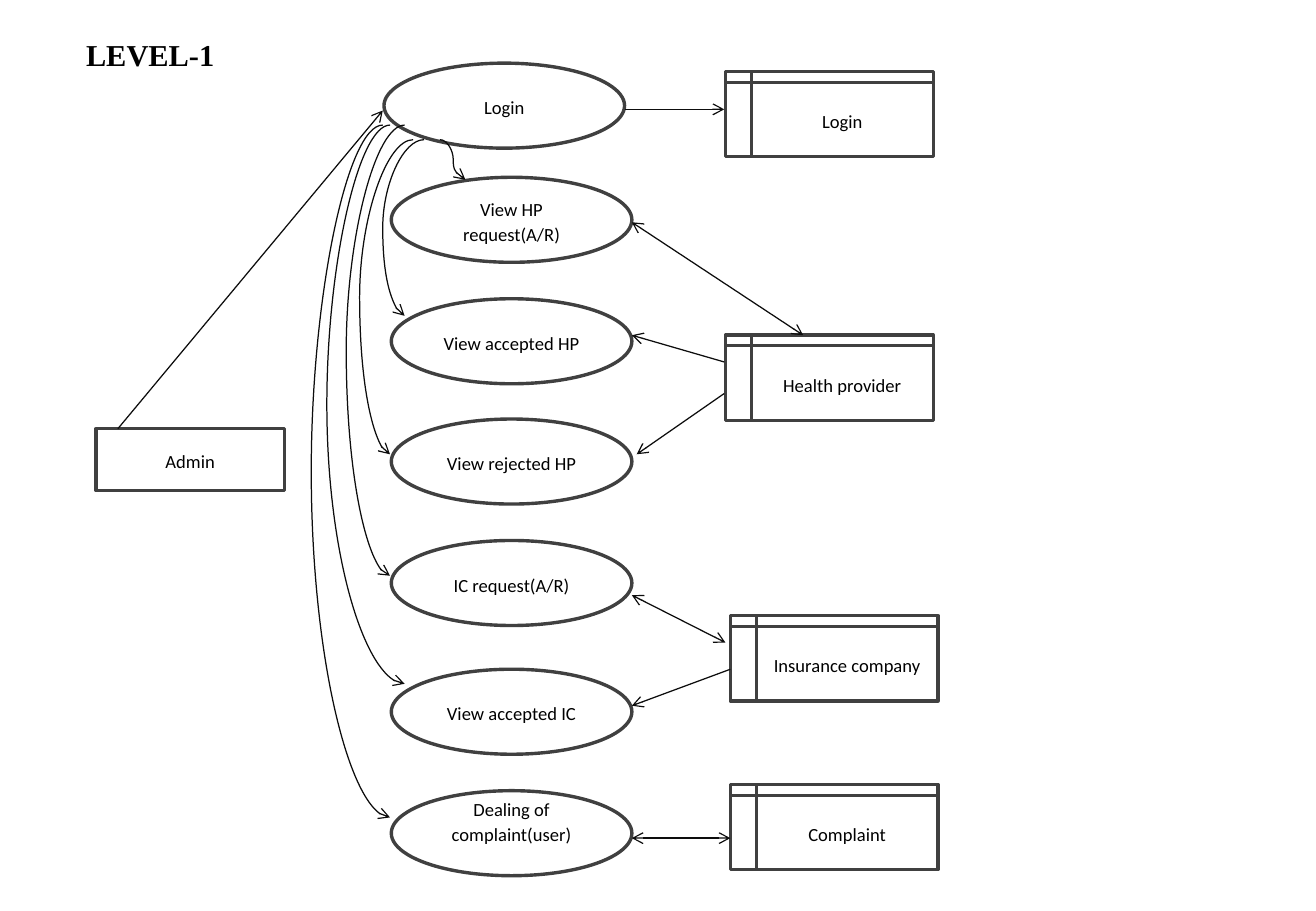
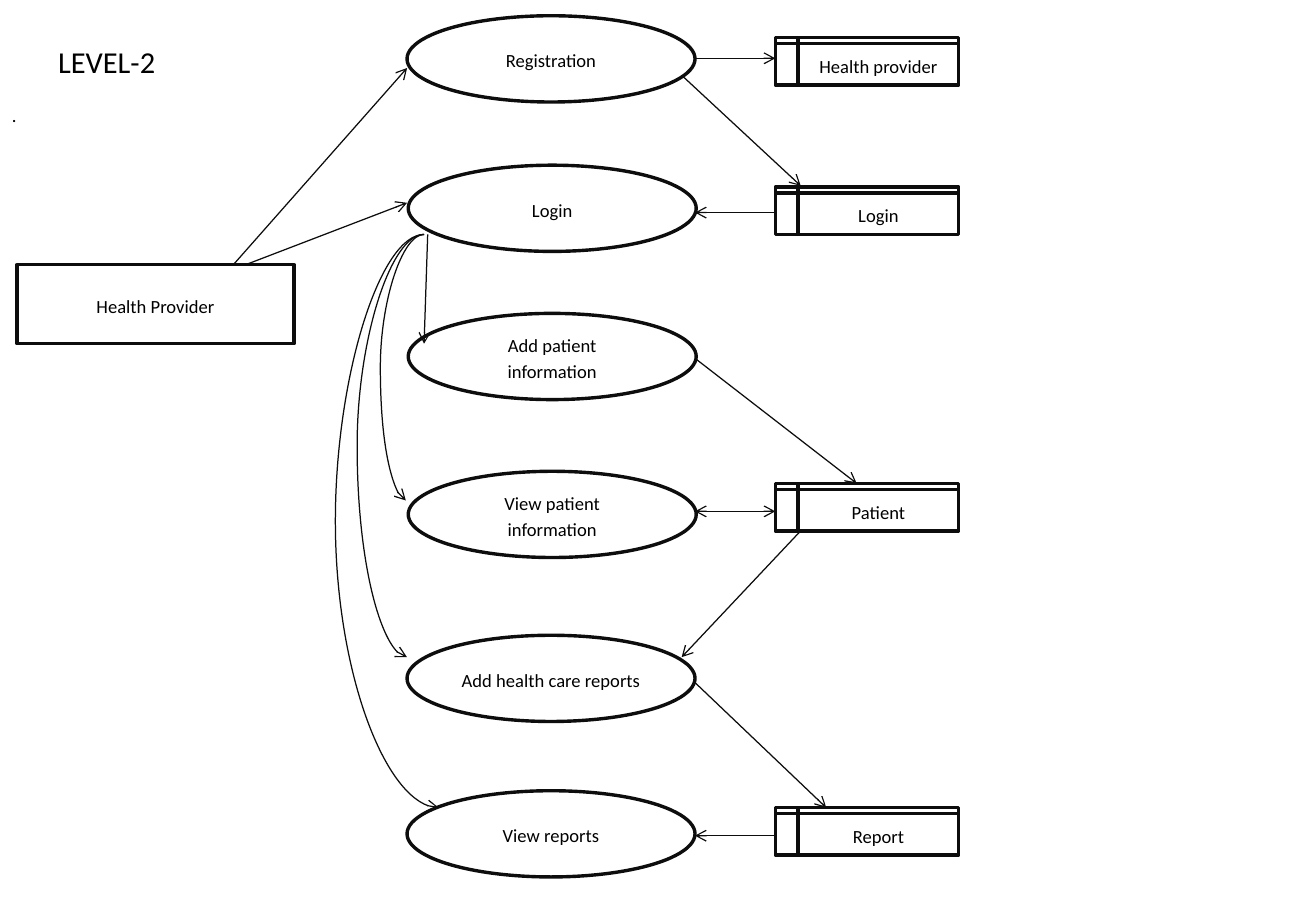
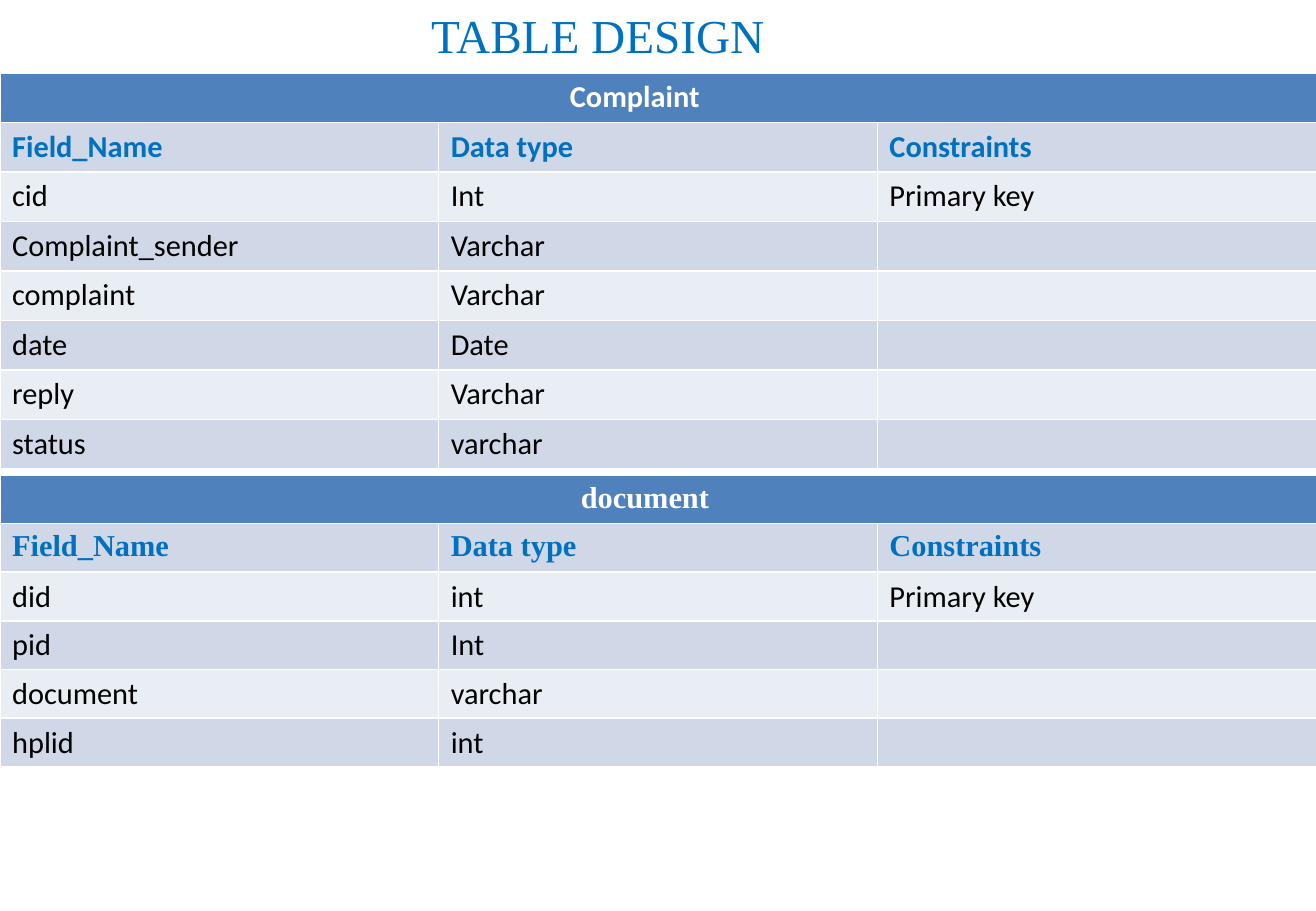
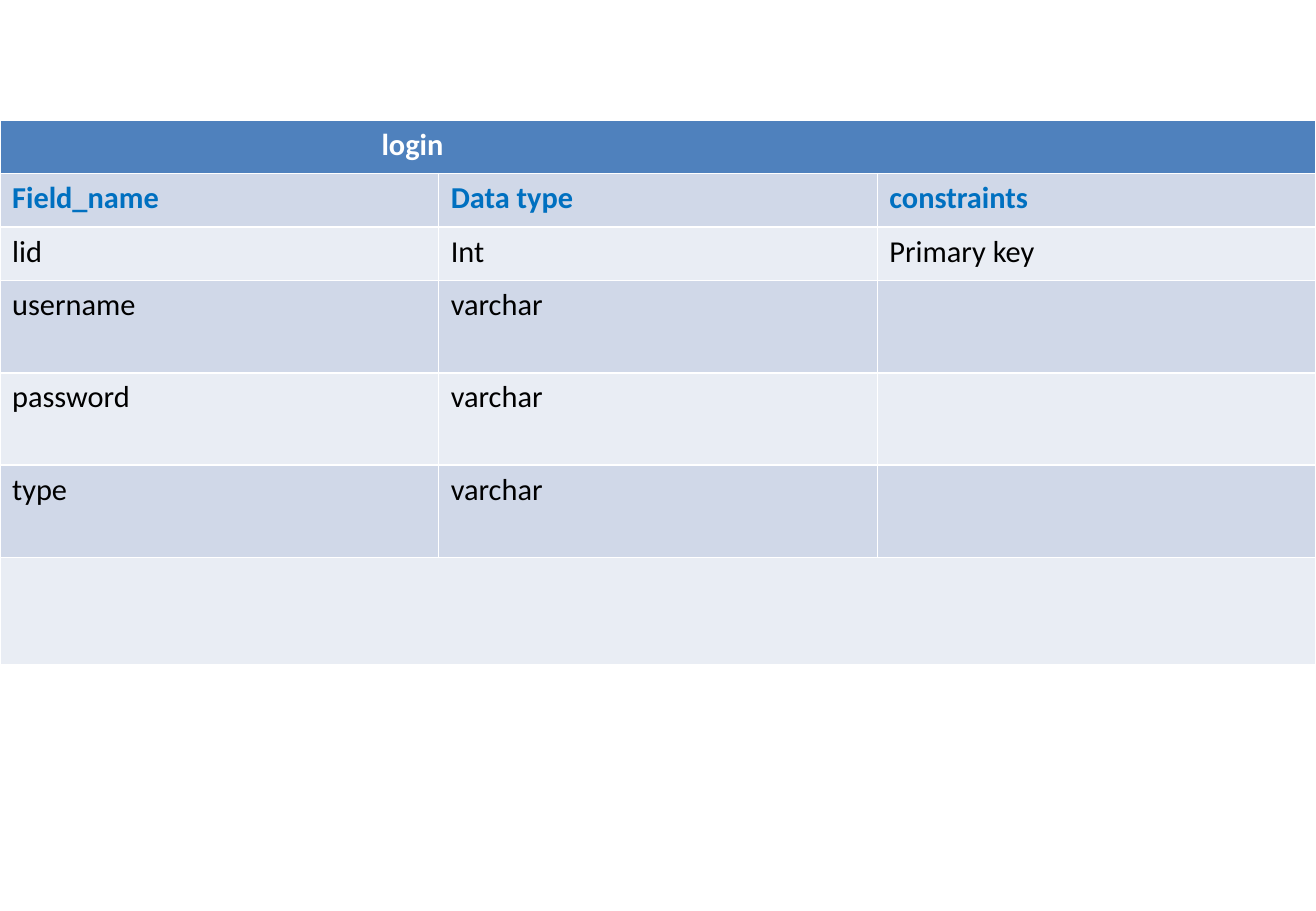
from lxml import etree
from pptx import Presentation
from pptx.dml.color import RGBColor
from pptx.enum.shapes import MSO_CONNECTOR, MSO_SHAPE
from pptx.enum.text import MSO_ANCHOR, PP_ALIGN
from pptx.oxml.ns import qn
from pptx.util import Emu, Pt

EMU_PER_PX = 9144
SLIDE_WIDTH, SLIDE_HEIGHT = 1083, 750
SLIDE_BOX = (0, 0, SLIDE_WIDTH, SLIDE_HEIGHT)

COLORS = {
    "white": "FFFFFF",
    "black": "000000",
    "ink": "0D0D0D",
    "gray": "404040",
    "blue": "0070C0",
    "header": "4F81BD",
    "band_dark": "D0D8E8",
    "band_light": "E9EDF4",
}
SANS, SERIF = "Calibri", "Times New Roman"

ENTITY = MSO_SHAPE.RECTANGLE
PROCESS = MSO_SHAPE.OVAL
STORE = MSO_SHAPE.FLOWCHART_INTERNAL_STORAGE
STRAIGHT, CURVE = MSO_CONNECTOR.STRAIGHT, MSO_CONNECTOR.CURVE
MIDDLE, TOP = MSO_ANCHOR.MIDDLE, MSO_ANCHOR.TOP
CENTER = PP_ALIGN.CENTER


def px(length):
    return Emu(round(length * EMU_PER_PX))


def rgb(name):
    return RGBColor.from_string(COLORS[name])


def style_font(paragraph, size, color="black", name=SANS, bold=False):
    font = paragraph.font
    font.size, font.name, font.bold = Pt(size), name, bold
    font.color.rgb = rgb(color)


def add_label(slide, box, text, size=18, color="black", name=SANS, bold=False, anchor=TOP):
    frame = slide.shapes.add_textbox(*map(px, box)).text_frame
    frame.word_wrap = True
    frame.vertical_anchor = anchor
    frame.text = text
    style_font(frame.paragraphs[0], size, color, name, bold)


def add_node(slide, kind, box, text, color, bottom_inset=5):
    shape = slide.shapes.add_shape(kind, *map(px, box))
    shape.shadow.inherit = False
    shape.fill.solid()
    shape.fill.fore_color.rgb = rgb("white")
    shape.line.color.rgb = rgb(color)
    shape.line.width = Pt(2)
    frame = shape.text_frame
    frame.word_wrap = True
    frame.vertical_anchor = MIDDLE
    frame.margin_bottom = px(bottom_inset)
    frame.text = text
    paragraph = frame.paragraphs[0]
    paragraph.alignment = CENTER
    paragraph.line_spacing = 1.15
    paragraph.space_after = Pt(10)
    style_font(paragraph, 11)


def add_arrow(slide, start, end, both=False, bend=None):
    """Draw an arrow; bend is the x that a curved one swings out to."""
    kind = STRAIGHT if bend is None else CURVE
    connector = slide.shapes.add_connector(kind, *map(px, start + end))
    connector.line.color.rgb = rgb("ink")
    connector.line.width = Pt(0.75)
    properties = connector._element.spPr
    line = properties.find(qn("a:ln"))
    for tag in ("a:headEnd", "a:tailEnd") if both else ("a:tailEnd",):
        etree.SubElement(line, qn(tag), type="arrow")
    etree.SubElement(properties, qn("a:effectLst"))
    if bend is not None:
        share = round((bend - start[0]) / (end[0] - start[0]) * 100000)
        geometry = properties.find(qn("a:prstGeom"))
        adjustments = geometry.find(qn("a:avLst"))
        if adjustments is None:
            adjustments = etree.SubElement(geometry, qn("a:avLst"))
        etree.SubElement(adjustments, qn("a:gd"), name="adj1", fmla=f"val {share}")


def add_flow_diagram(slide, box, color, nodes, arrows, two_way, curves):
    """Place nodes, arrows and curves, all measured from the corner of box."""
    left, top = box[:2]

    def moved(point):
        return left + point[0], top + point[1]

    for kind, size, items in nodes:
        for x, y, text, *inset in items:
            add_node(slide, kind, moved((x, y)) + size, text, color, *inset)
    for start, end in arrows:
        add_arrow(slide, moved(start), moved(end))
    for start, end in two_way:
        add_arrow(slide, moved(start), moved(end), both=True)
    for start, end, bend in curves:
        add_arrow(slide, moved(start), moved(end), bend=left + bend)


def add_field_table(slide, box, title, title_inset, rows, heights=None, heading_font=SANS):
    """Add a titled table of fields; rows share the box height unless heights are given."""
    left, top, width, height = box
    count, columns = len(rows) + 1, len(rows[0])
    table = slide.shapes.add_table(count, columns, *map(px, box)).table
    for row, row_height in zip(table.rows, heights or [height / count] * count):
        row.height = px(row_height)
    for index, values in enumerate([(title,) + ("",) * (columns - 1)] + rows):
        fill = "header" if index == 0 else "band_dark" if index % 2 else "band_light"
        text_color = {0: "white", 1: "blue"}.get(index, "black")
        heading = index < 2
        for column, value in enumerate(values):
            cell = table.cell(index, column)
            cell.fill.solid()
            cell.fill.fore_color.rgb = rgb(fill)
            cell.text = value
            style_font(cell.text_frame.paragraphs[0], 18, text_color,
                       heading_font if heading else SANS, heading)
        if index == 0 or not any(values):
            table.cell(index, 0).merge(table.cell(index, columns - 1))
    table.cell(0, 0).margin_left = px(title_inset)


def build_level_1(slide):
    nodes = [
        (ENTITY, (155, 51), [(79, 353, "Admin")]),
        (PROCESS, (198, 70), [
            (316, 52, "Login"),
            (322, 146, "View HP request(A/R)"),
            (322, 246, "View accepted HP"),
            (322, 345, "View rejected HP"),
            (322, 445, "IC request(A/R)"),
            (322, 551, "View accepted IC"),
            (322, 651, "Dealing of complaint(user)", 27),
        ]),
        (STORE, (171, 70), [
            (597, 59, "Login"),
            (597, 276, "Health provider"),
            (601, 507, "Insurance company"),
            (601, 646, "Complaint"),
        ]),
    ]
    arrows = [
        ((514, 90), (596, 90)),
        ((596, 298), (520, 276)),
        ((596, 324), (524, 374)),
        ((601, 551), (520, 581)),
        ((97, 353), (315, 91)),
    ]
    two_way = [
        ((520, 183), (661, 276)),
        ((597, 529), (520, 490)),
        ((601, 690), (520, 690)),
    ]
    curves = [
        ((362, 115), (383, 148), 373),
        ((349, 115), (333, 260), 315),
        ((340, 115), (321, 374), 296),
        ((333, 103), (321, 474), 285),
        ((321, 103), (333, 563), 269),
        ((315, 103), (321, 673), 256),
    ]
    add_flow_diagram(slide, SLIDE_BOX, "gray", nodes, arrows, two_way, curves)
    add_label(slide, (61, 25, 173, 40), "LEVEL-1", name=SERIF, bold=True)


def build_level_2(slide):
    nodes = [
        (ENTITY, (228, 65), [(14, 218, "Health Provider")]),
        (PROCESS, (237, 71), [
            (335, 13, "Registration"),
            (336, 136, "Login"),
            (336, 258, "Add patient information"),
            (336, 388, "View patient information"),
            (335, 523, "Add health care reports"),
            (335, 651, "View reports"),
        ]),
        (STORE, (151, 39), [
            (638, 31, "Health provider"),
            (638, 154, "Login"),
            (638, 398, "Patient"),
            (638, 665, "Report"),
        ]),
    ]
    arrows = [
        ((572, 48), (638, 48)),
        ((561, 62), (659, 153)),
        ((638, 175), (572, 175)),
        ((572, 295), (705, 398)),
        ((659, 437), (561, 541)),
        ((572, 562), (680, 665)),
        ((638, 688), (572, 688)),
        ((192, 218), (335, 56)),
        ((202, 218), (335, 167)),
        ((352, 193), (349, 283)),
    ]
    two_way = [((572, 421), (638, 421))]
    login = (349, 193)
    curves = [
        (login, (334, 412), 313),
        (login, (335, 541), 294),
        (login, (361, 665), 276),
    ]
    add_flow_diagram(slide, SLIDE_BOX, "ink", nodes, arrows, two_way, curves)
    add_label(slide, (0, 75, SLIDE_WIDTH, 40), ".", size=11, anchor=MIDDLE)
    add_label(slide, (38, 31, 204, 40), "LEVEL-2")


def build_table_design(slide):
    add_label(slide, (345, 0, 298, 57), "TABLE DESIGN", 28, "blue", SERIF, anchor=MIDDLE)
    headings = ("Field_Name", "Data type", "Constraints")
    add_field_table(slide, (0, 60, SLIDE_WIDTH, 326), "Complaint", 469, [
        headings,
        ("cid", "Int", "Primary key"),
        ("Complaint_sender", "Varchar", ""),
        ("complaint", "Varchar", ""),
        ("date", "Date", ""),
        ("reply", "Varchar", ""),
        ("status", "varchar", ""),
    ])
    add_field_table(slide, (0, 391, SLIDE_WIDTH, 240), "document", 478, [
        headings,
        ("did", "int", "Primary key"),
        ("pid", "Int", ""),
        ("document", "varchar", ""),
        ("hplid", "int", ""),
    ], heading_font=SERIF)


def build_login_table(slide):
    add_field_table(slide, (0, 99, SLIDE_WIDTH, 448), "login", 314, [
        ("Field_name", "Data type", "constraints"),
        ("lid", "Int", "Primary key"),
        ("username", "varchar", ""),
        ("password", "varchar", ""),
        ("type", "varchar", ""),
        ("", "", ""),
    ], heights=[44] * 3 + [76] * 3 + [88])


def main():
    presentation = Presentation()
    presentation.slide_width = px(SLIDE_WIDTH)
    presentation.slide_height = px(SLIDE_HEIGHT)
    blank = presentation.slide_layouts[6]
    for build in (build_level_1, build_level_2, build_table_design, build_login_table):
        build(presentation.slides.add_slide(blank))
    presentation.save("out.pptx")


if __name__ == "__main__":
    main()
